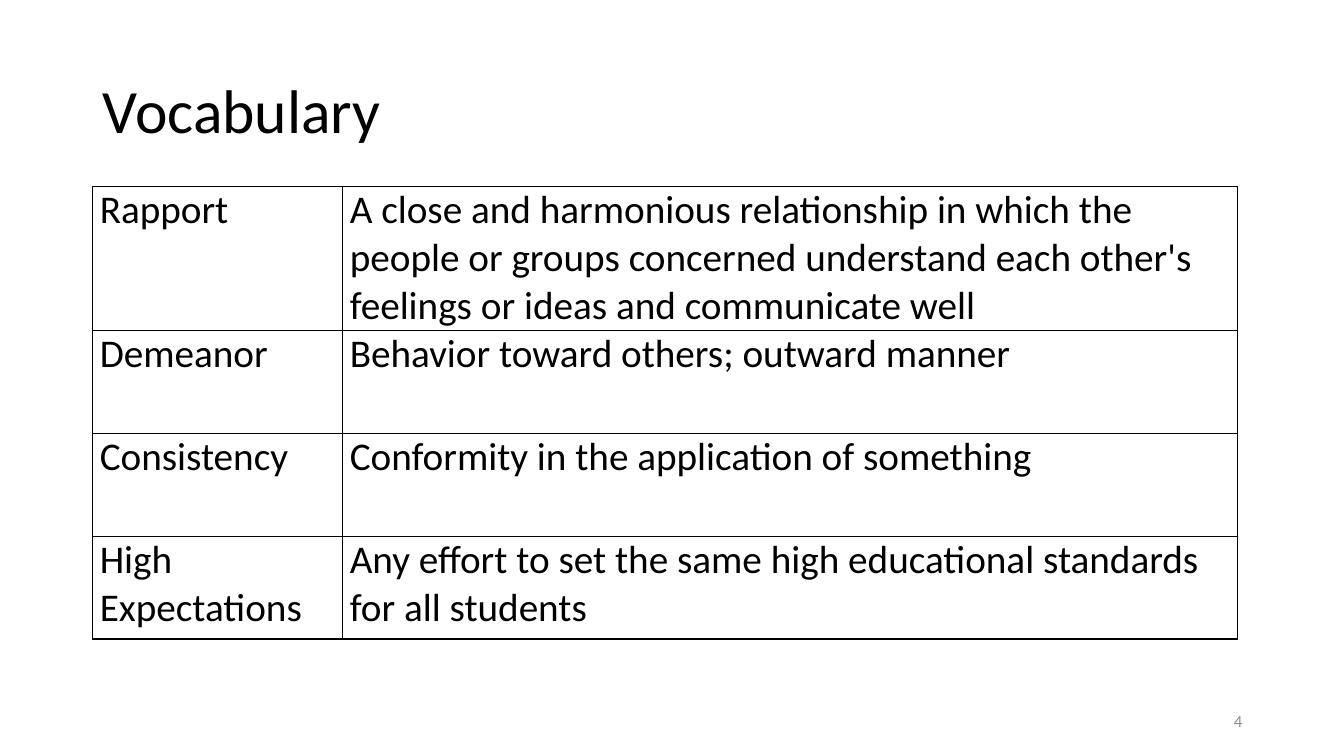
import pptx
import pptx.util
import pptx.dml.color
import pptx.enum.text
import pptx.oxml
import pptx.oxml.ns

Inches = pptx.util.Inches
Pt = pptx.util.Pt
ANCHOR = pptx.enum.text.MSO_ANCHOR
ALIGN = pptx.enum.text.PP_ALIGN
BLACK = pptx.dml.color.RGBColor(0x00, 0x00, 0x00)
GRAY = pptx.dml.color.RGBColor(0x8C, 0x8C, 0x8C)

deck = pptx.Presentation()
deck.slide_width = Inches(13.33)
deck.slide_height = Inches(7.5)
slide = deck.slides.add_slide(deck.slide_layouts[6])


def write(para, text, size, color):
    run = para.add_run()
    run.text = text
    run.font.name = "Calibri"
    run.font.size = Pt(size)
    run.font.color.rgb = color


def label(area, text, size, color, align, space):
    box = slide.shapes.add_textbox(*[Inches(side) for side in area])
    frame = box.text_frame
    frame.word_wrap = True
    frame.vertical_anchor = ANCHOR.MIDDLE
    para = frame.paragraphs[0]
    para.alignment = align
    para.line_spacing = space
    write(para, text, size, color)


label((0.92, 0.4, 11.5, 1.45), "Vocabulary", 44, BLACK, ALIGN.LEFT, 0.9)

terms = [
    ("Rapport", "A close and harmonious relationship in which the people or groups "
     "concerned understand each other's feelings or ideas and communicate well"),
    ("Demeanor", "Behavior toward others; outward manner"),
    ("Consistency", "Conformity in the application of something"),
    ("High Expectations", "Any effort to set the same high educational standards "
     "for all students"),
]
widths = [2.48, 8.87]
heights = [1.43] + [1.02] * 3

table = slide.shapes.add_table(
    len(terms), len(widths), Inches(0.92), Inches(1.85),
    Inches(sum(widths)), Inches(sum(heights))).table
table.first_row = False
table.horz_banding = False
for col, width in zip(table.columns, widths):
    col.width = Inches(width)

for row, height, term in zip(table.rows, heights, terms):
    row.height = Inches(height)
    for cell, text in zip(row.cells, term):
        cell.margin_left = cell.margin_right = Inches(0.07)
        cell.margin_top = cell.margin_bottom = 0
        cell.vertical_anchor = ANCHOR.TOP
        cell.fill.background()
        props = cell._tc.get_or_add_tcPr()
        for spot, edge in enumerate(("lnL", "lnR", "lnT", "lnB")):
            props.insert(spot, pptx.oxml.parse_xml(
                f'<a:{edge} {pptx.oxml.ns.nsdecls("a")} w="{Pt(1)}"><a:solidFill>'
                f'<a:srgbClr val="{BLACK}"/></a:solidFill></a:{edge}>'))
        write(cell.text_frame.paragraphs[0], text, 28, BLACK)

label((9.42, 6.95, 3, 0.4), "4", 12, GRAY, ALIGN.RIGHT, 1.0)

deck.save("out.pptx")
